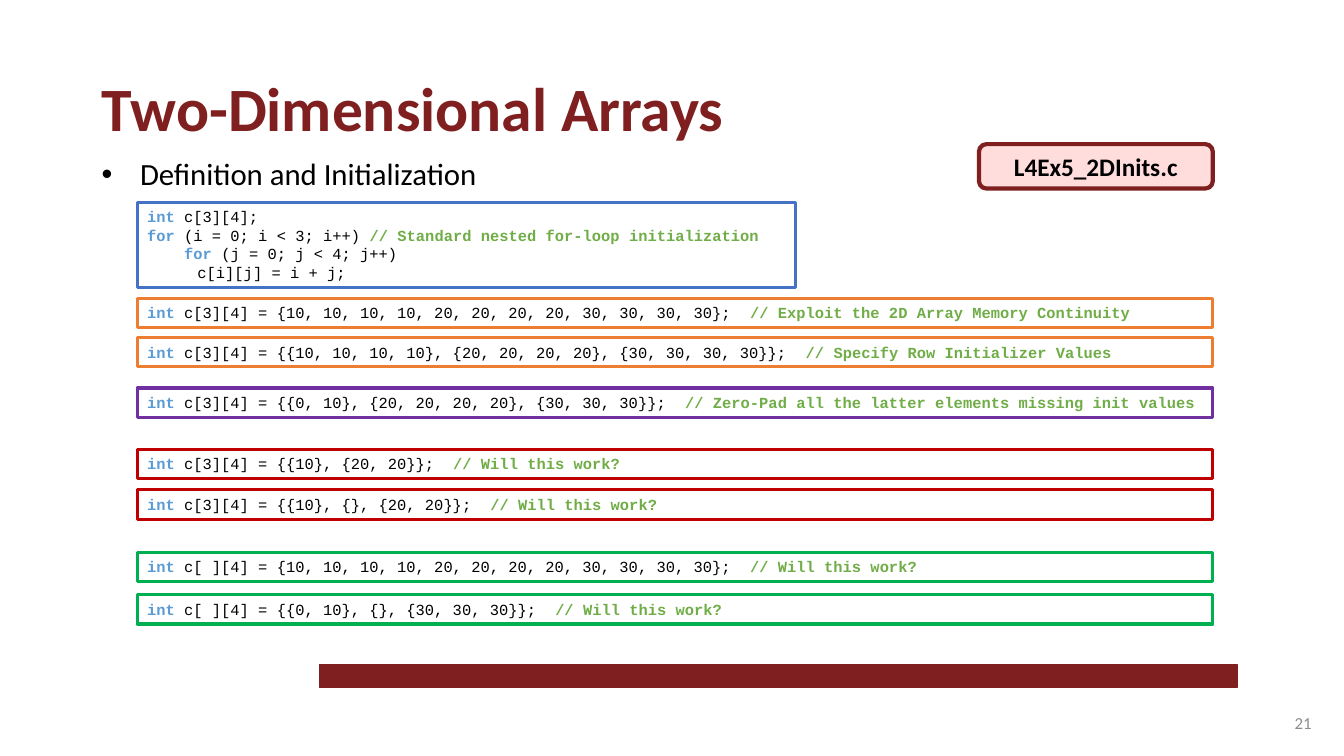
from dataclasses import dataclass

from lxml import etree
from pptx import Presentation
from pptx.dml.color import RGBColor
from pptx.enum.shapes import MSO_SHAPE
from pptx.enum.text import MSO_ANCHOR, PP_ALIGN
from pptx.oxml.ns import qn
from pptx.util import Inches, Pt

RECT, ROUND = MSO_SHAPE.RECTANGLE, MSO_SHAPE.ROUNDED_RECTANGLE
TOP, MIDDLE = MSO_ANCHOR.TOP, MSO_ANCHOR.MIDDLE
LEFT, CENTER, RIGHT = PP_ALIGN.LEFT, PP_ALIGN.CENTER, PP_ALIGN.RIGHT


@dataclass(frozen=True)
class Theme:
    sans: str = "Calibri"
    mono: str = "Courier New"
    ink: str = "000000"
    paper: str = "FFFFFF"
    maroon: str = "7F1F1F"
    blush: str = "FFDDDD"
    gray: str = "8C8C8C"
    keyword: str = "5B9BD5"
    comment: str = "70AD47"
    blue: str = "4472C4"
    orange: str = "ED7D31"
    purple: str = "7030A0"
    red: str = "C00000"
    green: str = "00B050"
    title: float = 44
    body: float = 22
    badge: float = 18
    note: float = 12
    code: float = 11


def add_text(para, text, font, size, color, bold=False):
    run = para.add_run()
    run.text = text
    run.font.name, run.font.size, run.font.bold = font, Pt(size), bold
    run.font.color.rgb = RGBColor.from_string(color)


class Deck:
    """Draws on one slide; boxes are (left, top, width, height) in percent of it."""

    def __init__(self, theme):
        self.theme = theme
        self.show = Presentation()
        self.show.slide_width, self.show.slide_height = Inches(13.33), Inches(7.5)
        self.slide = self.show.slides.add_slide(self.show.slide_layouts[5])

    def place(self, box):
        sides = (self.show.slide_width, self.show.slide_height) * 2
        return [round(side * part / 100) for side, part in zip(sides, box)]

    def frame(self, shape, anchor=TOP, align=LEFT, wrap=True):
        """Set up the text frame and return its first paragraph."""
        frame = shape.text_frame
        frame.word_wrap, frame.vertical_anchor = wrap, anchor
        frame.paragraphs[0].alignment = align
        return frame.paragraphs[0]

    def title(self, text, box):
        shape = self.slide.shapes.title
        shape.left, shape.top, shape.width, shape.height = self.place(box)
        para = self.frame(shape, wrap=False)
        add_text(para, text, self.theme.sans, self.theme.title, self.theme.maroon, bold=True)

    def label(self, text, box, size, color, **layout):
        shape = self.slide.shapes.add_textbox(*self.place(box))
        para = self.frame(shape, **layout)
        add_text(para, text, self.theme.sans, size, color)
        return para

    def bullet(self, text, box):
        para = self.label(text, box, self.theme.body, self.theme.ink)
        props = para._p.get_or_add_pPr()
        props.set("marL", str(Inches(0.38)))
        props.set("indent", str(-Inches(0.38)))
        etree.SubElement(props, qn("a:buFont"), typeface="Arial")
        etree.SubElement(props, qn("a:buChar"), char="•")

    def panel(self, box, fill, line, weight, kind=RECT):
        shape = self.slide.shapes.add_shape(kind, *self.place(box))
        shape.shadow.inherit = False
        shape.fill.solid()
        shape.fill.fore_color.rgb = RGBColor.from_string(fill)
        shape.line.color.rgb = RGBColor.from_string(line)
        shape.line.width = Pt(weight)
        return shape

    def badge(self, text, box):
        look = self.theme
        shape = self.panel(box, look.blush, look.maroon, 3, ROUND)
        para = self.frame(shape, MIDDLE, CENTER)
        add_text(para, text, look.sans, look.badge, look.ink, bold=True)

    def code(self, lines, box, line):
        shape = self.panel(box, self.theme.paper, line, 2.25)
        para = self.frame(shape)
        for index, text in enumerate(lines):
            if index:
                para = shape.text_frame.add_paragraph()
                para.alignment = LEFT
            self.paint(para, text)

    def paint(self, para, text):
        """Write one line of C with its leading keyword and comment coloured."""
        look = self.theme
        body, mark, note = text.partition("//")
        bare = body.lstrip(" ")
        pad = body[:len(body) - len(bare)]
        word = bare[:4] if bare.startswith(("int ", "for ")) else ""
        parts = ((pad, look.ink, False), (word, look.keyword, True),
                 (bare[len(word):], look.ink, False), (mark + note, look.comment, True))
        for part, color, bold in parts:
            if part:
                add_text(para, part, look.mono, look.code, color, bold=bold)


def main():
    look = Theme()
    deck = Deck(look)
    deck.panel((23.78, 87.87, 68.27, 3.07), look.maroon, look.maroon, 1)
    deck.title("Two-Dimensional Arrays", (6.83, 8.53, 48.24, 11.2))
    deck.bullet("Definition and Initialization", (6.83, 19.87, 83.42, 14.4))
    deck.label("21", (75.84, 92.93, 22.5, 5.33), look.note, look.gray,
               anchor=MIDDLE, align=RIGHT)

    loop = ["int c[3][4];",
            "for (i = 0; i < 3; i++) // Standard nested for-loop initialization",
            "    for (j = 0; j < 4; j++)",
            "\tc[i][j] = i + j;"]
    edge = 10.2
    deck.code(loop, (edge, 26.8, 48.99, 11.2), look.blue)

    flat = "{10, 10, 10, 10, 20, 20, 20, 20, 30, 30, 30, 30};"
    ask = "// Will this work?"
    rows = [
        (39.47, look.orange, f"int c[3][4] = {flat}  // Exploit the 2D Array Memory Continuity"),
        (44.67, look.orange, "int c[3][4] = {{10, 10, 10, 10}, {20, 20, 20, 20}, "
                             "{30, 30, 30, 30}};  // Specify Row Initializer Values"),
        (51.33, look.purple, "int c[3][4] = {{0, 10}, {20, 20, 20, 20}, {30, 30, 30}};  "
                             "// Zero-Pad all the latter elements missing init values"),
        (59.47, look.red, "int c[3][4] = {{10}, {20, 20}};  " + ask),
        (64.8, look.red, "int c[3][4] = {{10}, {}, {20, 20}};  " + ask),
        (73.07, look.green, f"int c[ ][4] = {flat}  {ask}"),
        (78.67, look.green, "int c[ ][4] = {{0, 10}, {}, {30, 30, 30}};  " + ask),
    ]
    for top, color, text in rows:
        deck.code([text], (edge, top, 80.05, 3.87), color)

    deck.badge("L4Ex5_2DInits.c", (72.84, 19.07, 17.4, 5.87))
    deck.show.save("out.pptx")


if __name__ == "__main__":
    main()
